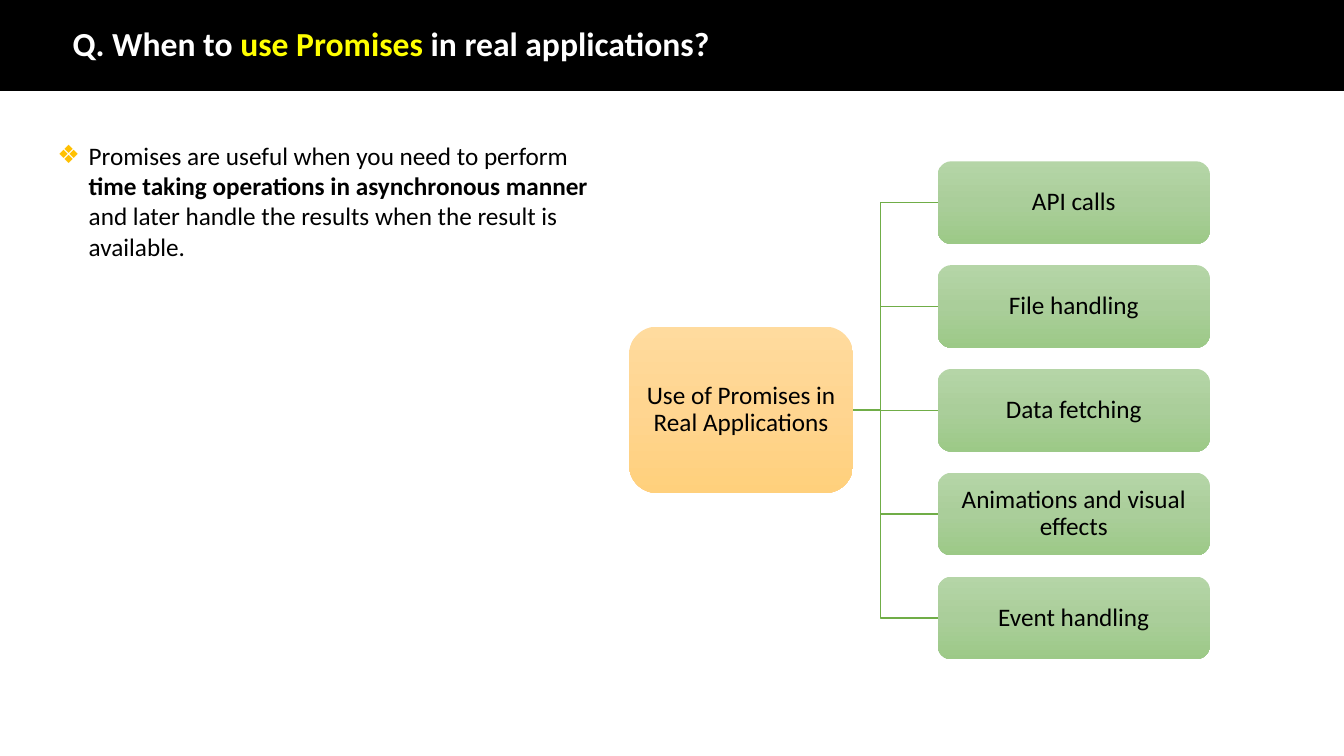
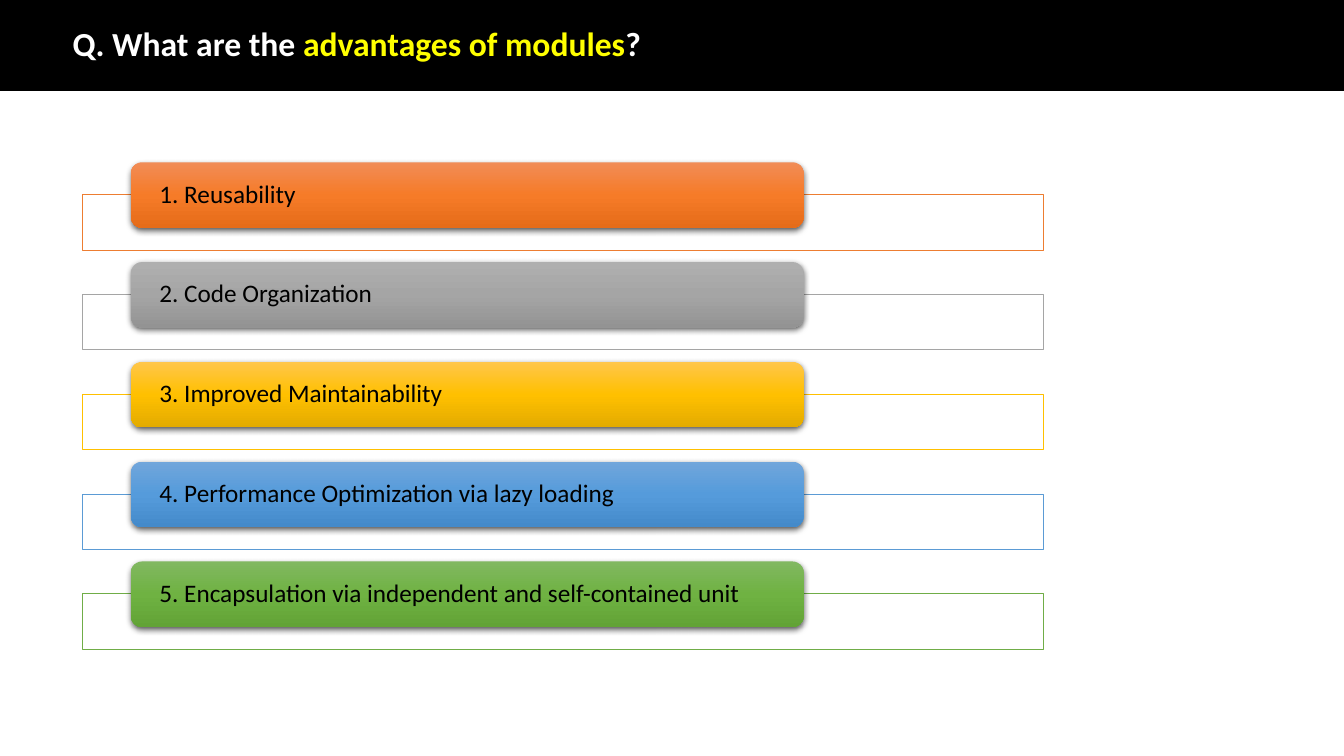
from copy import deepcopy
from dataclasses import dataclass

from lxml.etree import SubElement
from pptx import Presentation
from pptx.dml.color import RGBColor
from pptx.enum.shapes import MSO_CONNECTOR as CONN, MSO_SHAPE as SHAPE
from pptx.enum.text import MSO_ANCHOR as ANCHOR, MSO_AUTO_SIZE as FIT, PP_ALIGN as ALIGN
from pptx.oxml.ns import qn
from pptx.util import Emu, Pt


@dataclass(frozen=True)
class Theme:
    font: str = "Calibri"
    title_size: int = 24
    body_size: int = 18
    black: str = "000000"
    white: str = "FFFFFF"
    accent: str = "FFFF00"
    bullet: str = "FFC000"
    link: str = "70AD47"
    root: tuple = ("FFDB9E", "FFD590", "FFD07C")
    node: tuple = ("B5D5A7", "AACE9A", "9CC987")


T = Theme()
TITLE_ONLY, TITLE_BODY = 5, 1

USES = ["API calls", "File handling", "Data fetching",
        "Animations and visual effects", "Event handling"]

ADVANTAGES = [
    ("1. Reusability", "ED7D31", ("F18C57", "F67B28", "E56C19")),
    ("2. Code Organization", "A5A5A5", ("AFAFAF", "A5A5A5", "939393")),
    ("3. Improved Maintainability", "FFC000", ("FFC64B", "FFC000", "E3AB00")),
    ("4. Performance Optimization via lazy loading", "5B9BD5",
     ("71A6DB", "559BDB", "448ACA")),
    ("5. Encapsulation via independent and self-contained unit", "70AD47",
     ("81B861", "6FB242", "62A336")),
]


def px(n):
    return Emu(n * 9144)


def rgb(color):
    return RGBColor.from_string(color)


def place(sp, x, y, w, h):
    sp.left, sp.top, sp.width, sp.height = px(x), px(y), px(w), px(h)


def add_run(p, text, size, color=T.black, bold=False):
    r = p.add_run()
    r.text = text
    r.font.name = T.font
    r.font.size = Pt(size)
    r.font.bold = bold
    r.font.color.rgb = rgb(color)


def add_box(s, kind, x, y, w, h, line=None, weight=1):
    sp = s.shapes.add_shape(kind, px(x), px(y), px(w), px(h))
    sp.shadow.inherit = False
    if line:
        sp.line.color.rgb = rgb(line)
        sp.line.width = Pt(weight)
    else:
        sp.line.fill.background()
    return sp


def add_plain_box(s, x, y, w, h, fill, line, weight):
    sp = add_box(s, SHAPE.RECTANGLE, x, y, w, h, line, weight)
    sp.fill.solid()
    sp.fill.fore_color.rgb = rgb(fill)
    return sp


def add_card(s, x, y, w, h, colors, text, align=ALIGN.CENTER, inset_x=1, inset_y=1):
    sp = add_box(s, SHAPE.ROUNDED_RECTANGLE, x, y, w, h)
    sp.fill.gradient()
    sp.fill.gradient_angle = 270
    stops = sp.element.spPr.find(".//" + qn("a:gsLst"))
    stops.append(deepcopy(stops[0]))
    for stop, position, color in zip(sp.fill.gradient_stops, (0, 0.5, 1), colors):
        stop.position = position
        stop.color.rgb = rgb(color)
    tf = sp.text_frame
    tf.word_wrap = True
    tf.vertical_anchor = ANCHOR.MIDDLE
    tf.margin_left = tf.margin_right = px(inset_x)
    tf.margin_top = tf.margin_bottom = px(inset_y)
    p = tf.paragraphs[0]
    p.alignment = align
    p.line_spacing = 0.9
    add_run(p, text, T.body_size)
    return sp


def add_shadow(sp):
    effects = sp.element.spPr.find(qn("a:effectLst"))
    shadow = SubElement(effects, qn("a:outerShdw"), blurRad="57150", dist="19050",
                        dir="5400000", algn="ctr", rotWithShape="0")
    color = SubElement(shadow, qn("a:srgbClr"), val=T.black)
    SubElement(color, qn("a:alpha"), val="63000")


def add_link(s, x1, y1, x2, y2):
    kind = CONN.STRAIGHT if y1 == y2 else CONN.ELBOW
    link = s.shapes.add_connector(kind, px(x1), px(y1), px(x2), px(y2))
    link.line.color.rgb = rgb(T.link)
    link.line.width = Pt(1)
    SubElement(link.element.spPr, qn("a:effectLst"))


def add_slide(prs, layout, before, key, after):
    s = prs.slides.add_slide(prs.slide_layouts[layout])
    band = add_plain_box(s, 0, -1, 1333, 91, T.black, T.black, 1)
    s.shapes.element.insert(2, band.element)
    title = s.shapes.title
    place(title, 62, 28, 1150, 35)
    tf = title.text_frame
    tf.auto_size = FIT.NONE
    tf.vertical_anchor = ANCHOR.MIDDLE
    p = tf.paragraphs[0]
    p.alignment = ALIGN.LEFT
    p.line_spacing = 0.9
    for text, color in ((before, T.white), (key, T.accent), (after, T.white)):
        add_run(p, text, T.title_size, color, bold=True)
    return s


def fill_bullet(body, runs):
    place(body, 47, 134, 570, 131)
    tf = body.text_frame
    tf.auto_size = FIT.NONE
    p = tf.paragraphs[0]
    p.space_before = Pt(0)
    pPr = p._p.get_or_add_pPr()
    pPr.set("marL", str(px(31)))
    pPr.set("indent", str(-px(31)))
    color = SubElement(pPr, qn("a:buClr"))
    SubElement(color, qn("a:srgbClr"), val=T.bullet)
    SubElement(pPr, qn("a:buChar"), char="❖")
    for text, bold in runs:
        add_run(p, text, T.body_size, bold=bold)


def add_tree(s, root, leaves):
    leaf_x, leaf_y, leaf_w, leaf_h, pitch = 930, 160, 270, 82, 103
    root_x, root_w, root_h, hub_x = 624, 222, 165, 817
    tops = [leaf_y + i * pitch for i in range(len(leaves))]
    middle = (tops[0] + tops[-1] + leaf_h) // 2
    for top in tops:
        add_link(s, hub_x, middle, leaf_x, top + leaf_h // 2)
    add_card(s, root_x, middle - root_h // 2 - 1, root_w, root_h, T.root, root)
    for top, text in zip(tops, leaves):
        add_card(s, leaf_x, top, leaf_w, leaf_h, T.node, text)


def add_bars(s, items):
    for i, (text, line, colors) in enumerate(items):
        top = 161 + i * 99
        add_plain_box(s, 82, top + 32, 953, 55, T.white, line, 0.5)
        bar = add_card(s, 130, top, 667, 65, colors, text, ALIGN.LEFT, 25, 0)
        add_shadow(bar)


def main():
    prs = Presentation()
    prs.slide_width, prs.slide_height = px(1333), px(750)

    s = add_slide(prs, TITLE_BODY, "Q. When to ", "use Promises", " in real applications?")
    fill_bullet(s.placeholders[1], [
        ("Promises are useful when you need to perform ", False),
        ("time taking operations in asynchronous manner", True),
        (" and later handle the results when the result is available.", False),
    ])
    add_tree(s, "Use of Promises in Real Applications", USES)

    s = add_slide(prs, TITLE_ONLY, "Q. What are the ", "advantages of modules", "?")
    add_bars(s, ADVANTAGES)

    prs.save("out.pptx")


if __name__ == "__main__":
    main()
